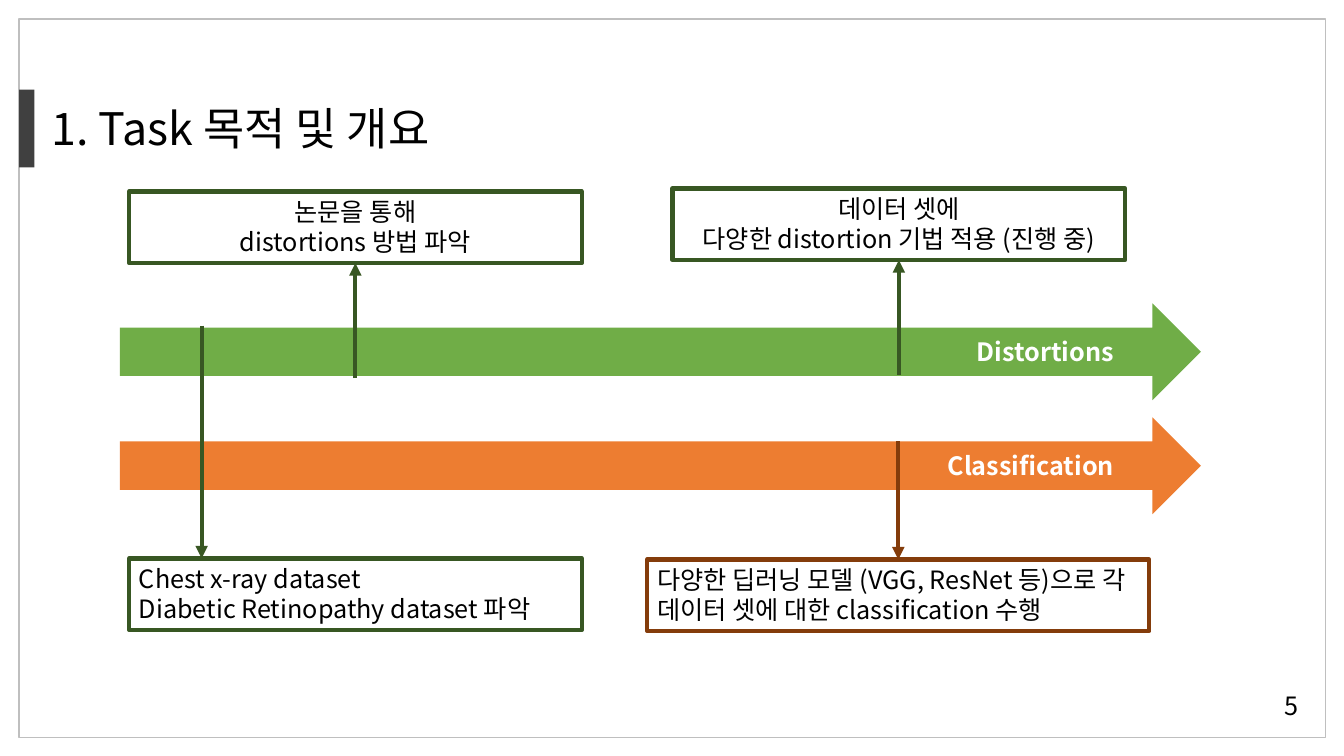
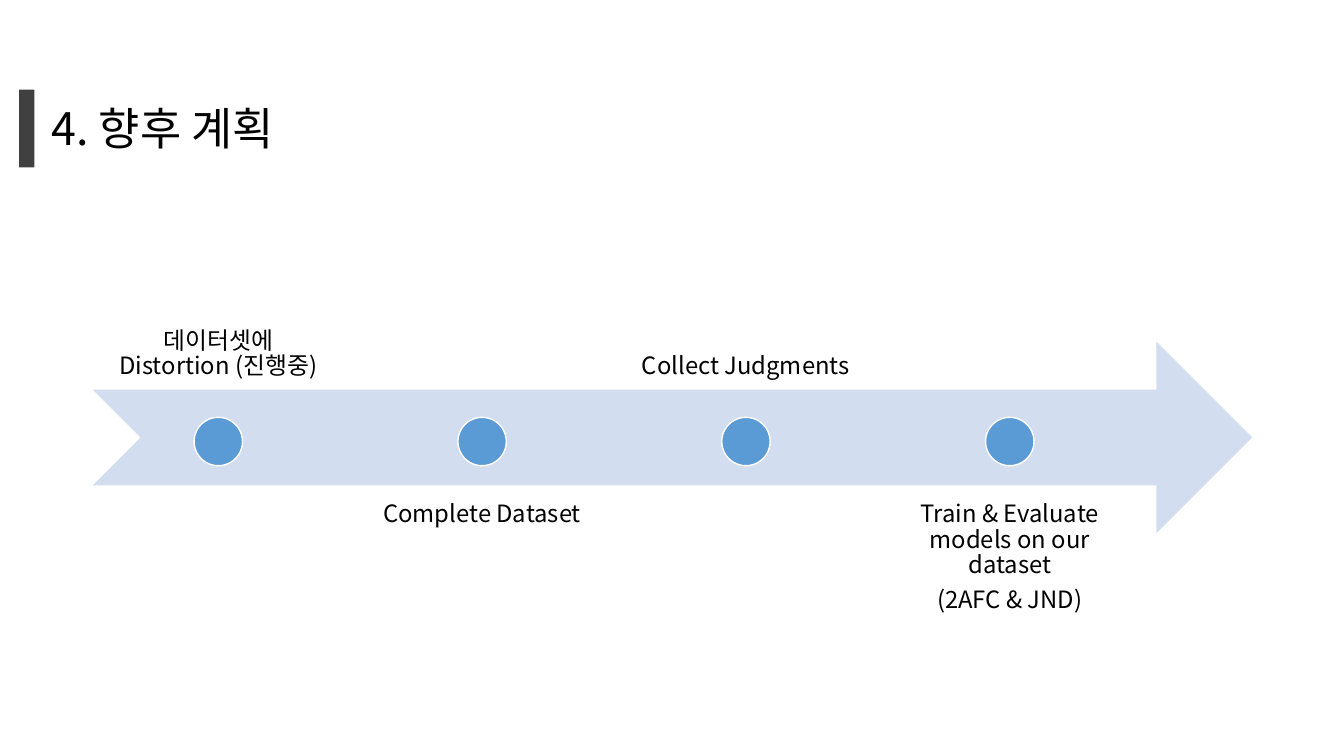
from dataclasses import dataclass

from lxml import etree
from pptx import Presentation
from pptx.dml.color import RGBColor
from pptx.enum.shapes import MSO_CONNECTOR, MSO_SHAPE
from pptx.enum.text import MSO_ANCHOR, MSO_AUTO_SIZE, PP_ALIGN
from pptx.oxml.ns import qn
from pptx.util import Inches, Pt

RECT, OVAL = MSO_SHAPE.RECTANGLE, MSO_SHAPE.OVAL
RIGHT_ARROW, NOTCHED_ARROW = MSO_SHAPE.RIGHT_ARROW, MSO_SHAPE.NOTCHED_RIGHT_ARROW
STRAIGHT = MSO_CONNECTOR.STRAIGHT
TOP, MIDDLE, BOTTOM = MSO_ANCHOR.TOP, MSO_ANCHOR.MIDDLE, MSO_ANCHOR.BOTTOM
LEFT, CENTER, RIGHT = PP_ALIGN.LEFT, PP_ALIGN.CENTER, PP_ALIGN.RIGHT
SITE_TOP, SITE_BOTTOM = 0, 2
TITLE_ONLY = 5

FONT = "Noto Sans CJK KR"
COLORS = {
    "text": "000000",
    "white": "FFFFFF",
    "frame": "BFBFBF",
    "accent": "404040",
    "green": "70AD47",
    "dark_green": "385723",
    "orange": "ED7D31",
    "dark_orange": "843C0B",
    "pale_blue": "D2DEEF",
    "blue": "5B9BD5",
}


@dataclass(frozen=True)
class Track:
    label: str
    top: float
    color: str


@dataclass(frozen=True)
class Note:
    """A boxed text; line_start is where its arrow leaves the track."""
    text: str
    left: float
    top: float
    width: float
    color: str
    align: PP_ALIGN
    line_start: float
    line_x: float | None = None


@dataclass(frozen=True)
class Milestone:
    text: str
    above: bool


TRACKS = [
    Track("Distortions", 3.01, "green"),
    Track("Classification", 4.14, "orange"),
]
NOTES = [
    Note("논문을 통해\vdistortions 방법 파악", 1.28, 1.9, 4.49, "dark_green", CENTER, 3.75),
    Note("데이터 셋에\n다양한 distortion 기법 적용 (진행 중)",
         6.67, 1.87, 4.49, "dark_green", CENTER, 3.72),
    Note("다양한 딥러닝 모델 (VGG, ResNet 등)으로 각 데이터 셋에 대한 classification 수행",
         6.42, 5.55, 4.98, "dark_orange", LEFT, 4.38),
    Note("Chest x-ray dataset\nDiabetic Retinopathy dataset 파악",
         1.28, 5.54, 4.49, "dark_green", LEFT, 3.23, line_x=2),
]
NOTE_HEIGHT = 0.71
MILESTONES = [
    Milestone("데이터셋에 Distortion (진행중)", True),
    Milestone("Complete Dataset", False),
    Milestone("Collect Judgments", True),
    Milestone("Train & Evaluate models on our dataset\n(2AFC & JND)", False),
]


def rgb(name: str) -> RGBColor:
    return RGBColor.from_string(COLORS[name])


def set_text(shape, text: str, size: float, color: str = "text", align=LEFT,
             anchor=TOP, bold: bool = False, wrap: bool = True):
    tf = shape.text_frame
    tf.text = text
    tf.word_wrap = wrap
    tf.auto_size = MSO_AUTO_SIZE.NONE
    tf.vertical_anchor = anchor
    for p in tf.paragraphs:
        p.alignment = align
        for r in p.runs:
            r.font.name = FONT
            r.font.size = Pt(size)
            r.font.bold = bold
            r.font.color.rgb = rgb(color)
            etree.SubElement(r._r.get_or_add_rPr(), qn("a:ea"), typeface=FONT)
    return tf


def add_shape(shapes, kind, left: float, top: float, width: float, height: float,
              fill: str | None = None, line: str | None = None, line_width: float = 1):
    sp = shapes.add_shape(kind, Inches(left), Inches(top), Inches(width), Inches(height))
    sp.shadow.inherit = False
    if fill:
        sp.fill.solid()
        sp.fill.fore_color.rgb = rgb(fill)
    else:
        sp.fill.background()
    if line:
        sp.line.color.rgb = rgb(line)
        sp.line.width = Pt(line_width)
    else:
        sp.line.fill.background()
    return sp


def outline_text(r) -> None:
    """Give a run a thin, half-transparent outline."""
    ln = etree.Element(qn("a:ln"), w=str(Pt(0.75)))
    fill = etree.SubElement(ln, qn("a:solidFill"))
    color = etree.SubElement(fill, qn("a:srgbClr"), val=COLORS["text"])
    etree.SubElement(color, qn("a:alpha"), val="50000")
    r._r.get_or_add_rPr().insert(0, ln)


def add_titled_slide(prs, title: str, framed: bool = False):
    s = prs.slides.add_slide(prs.slide_layouts[TITLE_ONLY])
    if framed:
        add_shape(s.shapes, RECT, 0.19, 0.19, 12.96, 7.13, line="frame")
    add_shape(s.shapes, RECT, 0.19, 0.89, 0.15, 0.77, fill="accent")
    sp = s.shapes.title
    sp.left, sp.top, sp.width, sp.height = map(Inches, (0.41, 0.95, 6.54, 0.64))
    tf = set_text(sp, title, 32)
    outline_text(tf.paragraphs[0].runs[0])
    return s


def add_track(s, track: Track) -> None:
    sp = add_shape(s.shapes, RIGHT_ARROW, 1.19, track.top, 10.72, 0.96, fill=track.color)
    tf = set_text(sp, track.label, 18, "white", RIGHT, MIDDLE, bold=True)
    tf.margin_right = Inches(0.62)


def add_note(s, note: Note) -> None:
    """Draw the box and the arrow that reaches it from its track."""
    box = add_shape(s.shapes, RECT, note.left, note.top, note.width, NOTE_HEIGHT,
                    line=note.color, line_width=3)
    set_text(box, note.text, 18, align=note.align)

    below = note.top > note.line_start
    end_y = note.top if below else note.top + NOTE_HEIGHT
    x = note.line_x or note.left + note.width / 2
    line = s.shapes.add_connector(STRAIGHT, Inches(x), Inches(note.line_start),
                                  Inches(x), Inches(end_y))
    if note.line_x is None:
        line.end_connect(box, SITE_TOP if below else SITE_BOTTOM)
    line.line.color.rgb = rgb(note.color)
    line.line.width = Pt(3)
    etree.SubElement(line.line._get_or_add_ln(), qn("a:tailEnd"), type="triangle")
    etree.SubElement(line._element.spPr, qn("a:effectLst"))


def add_milestone(shapes, milestone: Milestone, left: float) -> None:
    width, dot = 2.49, 0.48
    top = 2 if milestone.above else 4.85
    tb = shapes.add_textbox(Inches(left), Inches(top), Inches(width), Inches(1.9))
    tf = set_text(tb, milestone.text, 17, align=CENTER,
                  anchor=BOTTOM if milestone.above else TOP)
    tf.margin_left = tf.margin_right = tf.margin_top = tf.margin_bottom = Inches(0.13)
    for p in tf.paragraphs:
        p.line_spacing = 0.9
        p.space_after = Pt(6)
    add_shape(shapes, OVAL, left + (width - dot) / 2, 4.14, dot, dot,
              fill="blue", line="white")


def build_overview(prs) -> None:
    s = add_titled_slide(prs, "1. Task 목적 및 개요", framed=True)
    number = s.shapes.add_textbox(Inches(12.64), Inches(6.8), Inches(0.34), Inches(0.4))
    set_text(number, "5", 18, wrap=False)
    for track in TRACKS:
        add_track(s, track)
    for note in NOTES:
        add_note(s, note)


def build_plan(prs) -> None:
    s = add_titled_slide(prs, "4. 향후 계획")
    timeline = s.shapes.add_group_shape().shapes
    add_shape(timeline, NOTCHED_ARROW, 0.92, 3.39, 11.5, 1.9, fill="pale_blue")
    first, last = 0.92, 8.77
    step = (last - first) / (len(MILESTONES) - 1)
    for i, milestone in enumerate(MILESTONES):
        add_milestone(timeline, milestone, first + i * step)


def main() -> None:
    prs = Presentation()
    prs.slide_width, prs.slide_height = Inches(13.33), Inches(7.5)
    build_overview(prs)
    build_plan(prs)
    prs.save("out.pptx")


if __name__ == "__main__":
    main()
